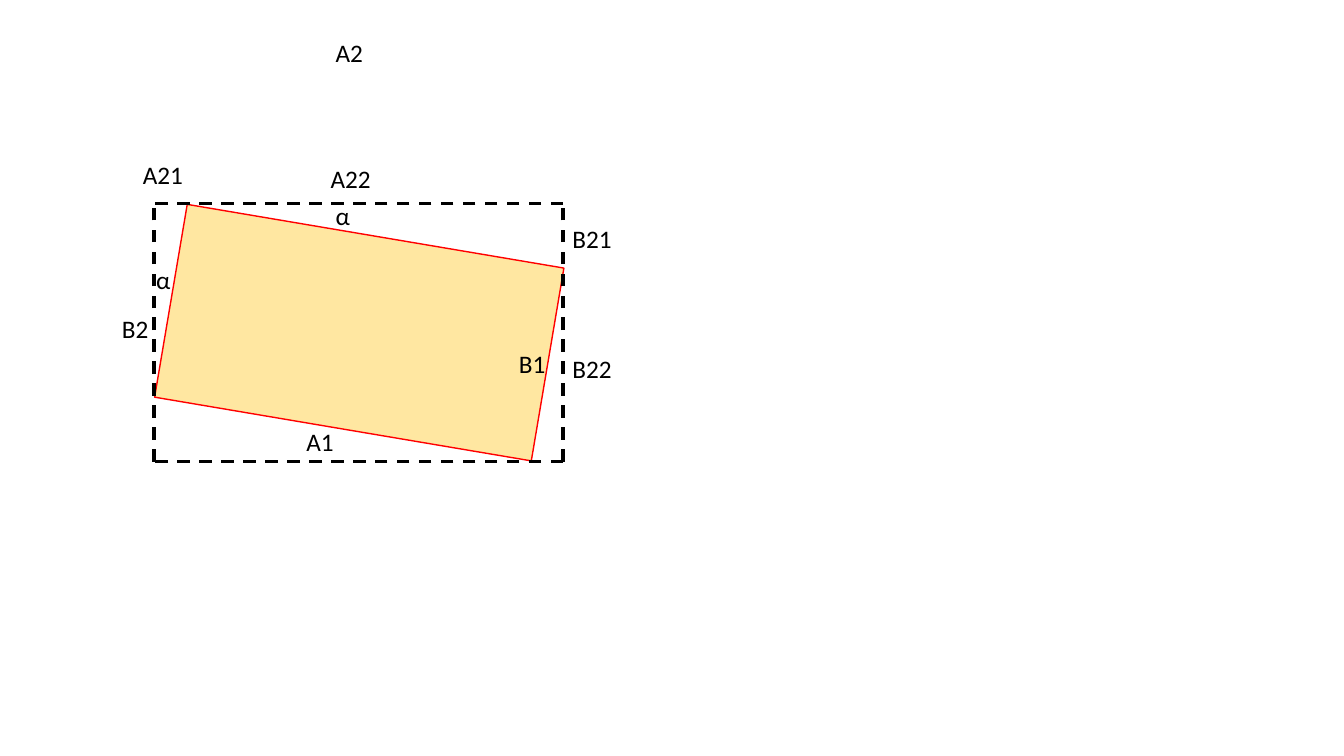
from lxml import etree
from pptx import Presentation
from pptx.dml.color import RGBColor
from pptx.enum.dml import MSO_LINE
from pptx.enum.shapes import MSO_CONNECTOR, MSO_SHAPE
from pptx.enum.text import MSO_AUTO_SIZE
from pptx.oxml.ns import qn
from pptx.util import Pt

DASH = MSO_LINE.DASH
STRAIGHT = MSO_CONNECTOR.STRAIGHT
RECTANGLE = MSO_SHAPE.RECTANGLE
FIT_SHAPE = MSO_AUTO_SIZE.SHAPE_TO_FIT_TEXT

LABEL_HEIGHT = 29
LABEL_FONT = {"name": "Calibri", "size": Pt(18)}
FRAME_LEFT, FRAME_TOP, FRAME_RIGHT, FRAME_BOTTOM = 110, 145.5, 402.2, 329.8
LINE_OVERHANG = 1

# Text, left, top, width
LABELS = [
    ("A1", 211.7, 301, 34.6),
    ("B1", 363.6, 245.5, 38),
    ("B2", 80, 220.3, 38),
    ("A2", 232.6, 23, 38),
    ("α", 232.6, 139.7, 27.4),
    ("α", 104.4, 185, 27.4),
    ("A22", 229, 113, 63.4),
    ("A21", 95, 110.2, 63.4),
    ("B21", 401.8, 156.2, 44.6),
    ("B22", 401.8, 249.1, 44.6),
]


def color(hex_string):
    return RGBColor.from_string(hex_string)


def add_rotated_rectangle(page):
    box = page.shapes.add_shape(RECTANGLE, Pt(120.2), Pt(167.8), Pt(272.9), Pt(139.7))
    box.rotation = 9.6
    box.shadow.inherit = False
    box.fill.solid()
    box.fill.fore_color.rgb = color("FFC000")
    fill_color = box.fill._xPr.find(qn("a:solidFill"))[0]
    etree.SubElement(fill_color, qn("a:alpha"), val="37000")
    box.line.color.rgb = color("FF0000")
    box.line.width = Pt(1)


def add_dashed_line(page, start, end):
    points = [Pt(value) for value in (*start, *end)]
    connector = page.shapes.add_connector(STRAIGHT, *points)
    connector.line.color.rgb = color("000000")
    connector.line.width = Pt(2.25)
    connector.line.dash_style = DASH
    etree.SubElement(connector._element.spPr, qn("a:effectLst"))


def add_label(page, text, left, top, width):
    box = page.shapes.add_textbox(Pt(left), Pt(top), Pt(width), Pt(LABEL_HEIGHT))
    frame = box.text_frame
    frame.word_wrap = True
    frame.auto_size = FIT_SHAPE
    span = frame.paragraphs[0].add_run()
    span.text = text
    for attribute, value in LABEL_FONT.items():
        setattr(span.font, attribute, value)
    span.font.color.rgb = color("000000")


def main():
    deck = Presentation()
    deck.slide_width, deck.slide_height = Pt(960), Pt(540)
    page = deck.slides.add_slide(deck.slide_layouts[6])

    add_rotated_rectangle(page)
    for y in (FRAME_TOP, FRAME_BOTTOM):
        add_dashed_line(page, (FRAME_RIGHT, y), (FRAME_LEFT - LINE_OVERHANG, y))
    for x in (FRAME_LEFT, FRAME_RIGHT):
        add_dashed_line(page, (x, FRAME_BOTTOM), (x, FRAME_TOP))
    for label in LABELS:
        add_label(page, *label)

    deck.save("out.pptx")


if __name__ == "__main__":
    main()
